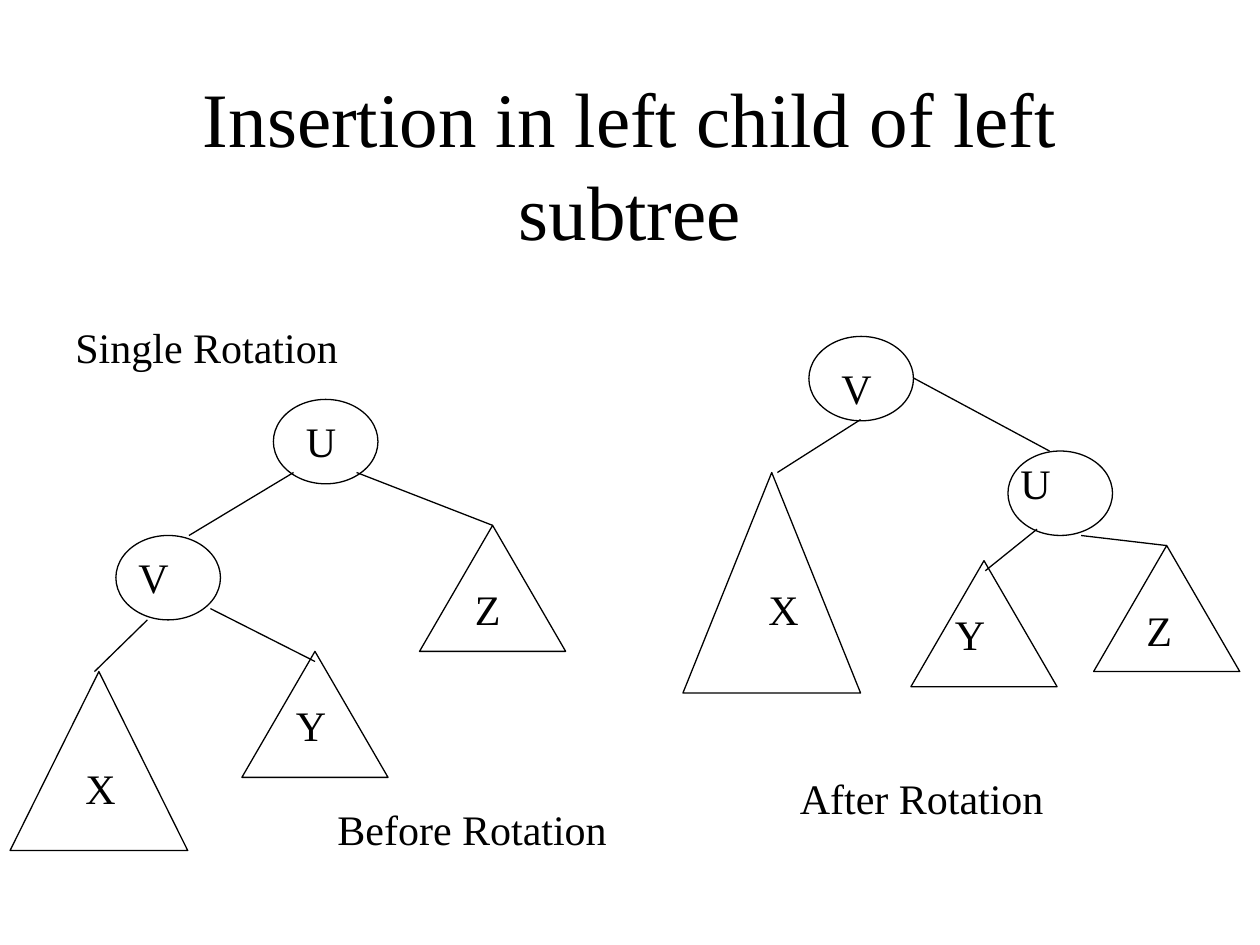
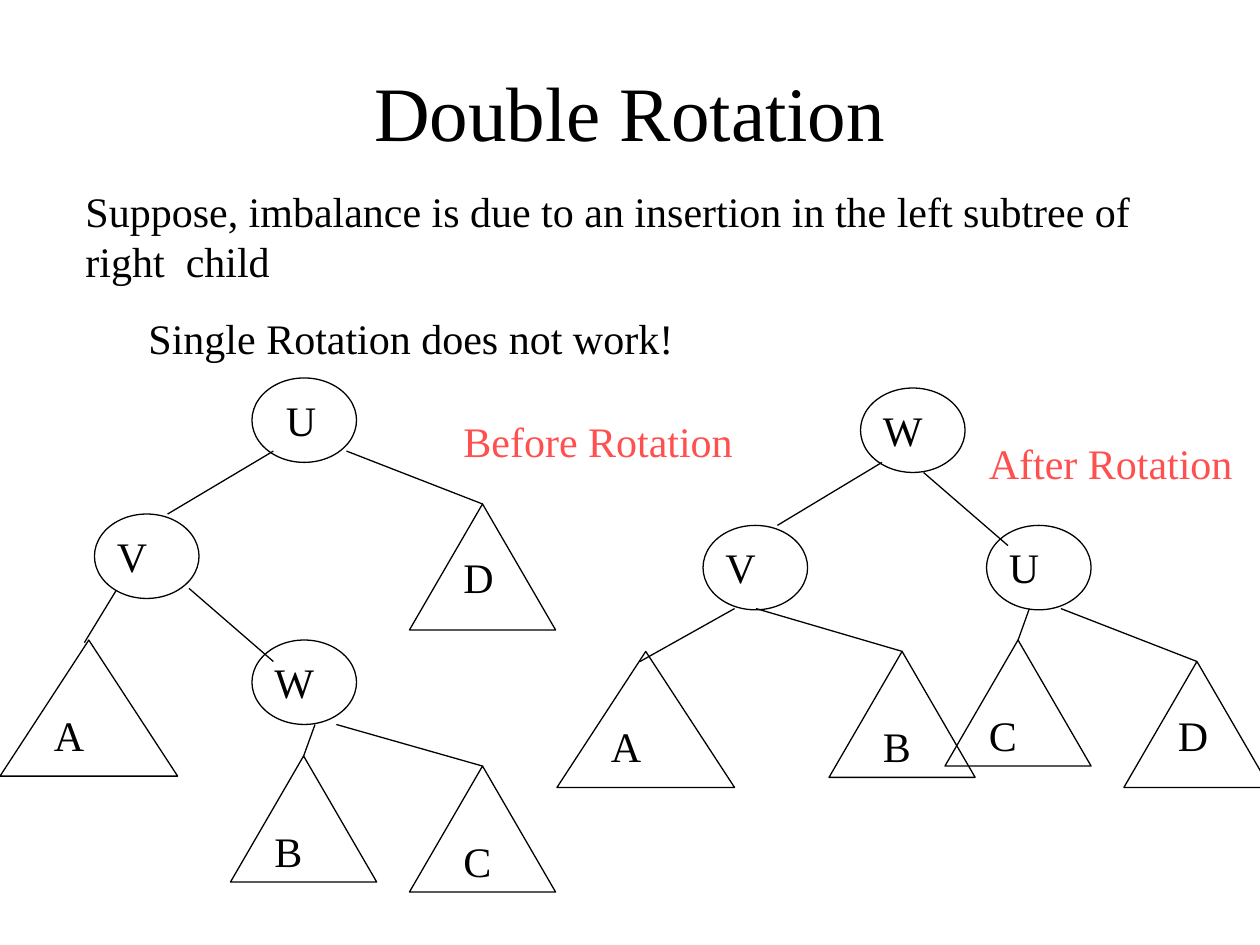
from lxml.etree import SubElement
from pptx import Presentation
from pptx.dml.color import RGBColor
from pptx.enum.shapes import MSO_CONNECTOR, MSO_SHAPE
from pptx.enum.text import MSO_ANCHOR, PP_ALIGN
from pptx.oxml.ns import qn
from pptx.util import Inches, Pt

FONT = "Times New Roman"
BLACK = "000000"
RED = "FF5050"
WHITE = "FFFFFF"
LINE_WIDTH = 0.75
BODY_SIZE = 24
TITLE_SIZE = 44
NODE_SIZE = (0.83, 0.67)
SUBTREE_SIZE = (1.16, 1)
LABEL_SIZE = (0.6, 0.5)
CAPTION_SIZE = (2.5, 0.5)


def color(hex_code):
    return RGBColor.from_string(hex_code)


def add_slide(presentation):
    slide = presentation.slides.add_slide(presentation.slide_layouts[6])
    slide.background.fill.solid()
    slide.background.fill.fore_color.rgb = color(WHITE)
    return slide


def add_run(paragraph, text, size, hex_code):
    run = paragraph.add_run()
    run.text = text
    run.font.name = FONT
    run.font.size = Pt(size)
    run.font.color.rgb = color(hex_code)


def add_text_frame(slide, left, top, width, height):
    box = slide.shapes.add_textbox(Inches(left), Inches(top), Inches(width), Inches(height))
    box.text_frame.word_wrap = True
    return box.text_frame


def add_title(slide, text, top):
    frame = add_text_frame(slide, 0.75, top, 8.5, 1.25)
    frame.vertical_anchor = MSO_ANCHOR.MIDDLE
    frame.paragraphs[0].alignment = PP_ALIGN.CENTER
    add_run(frame.paragraphs[0], text, TITLE_SIZE, BLACK)


def add_body(slide, lines, position, size, hex_code=BLACK):
    """Write one paragraph per line, each a level deeper than the one before."""
    frame = add_text_frame(slide, *position, *size)
    for level, line in enumerate(lines):
        paragraph = frame.add_paragraph() if level else frame.paragraphs[0]
        paragraph.level = level
        paragraph.space_before = Pt(15)
        add_run(paragraph, line, BODY_SIZE, hex_code)


def add_outline(slide, preset, left, top, size):
    shape = slide.shapes.add_shape(
        preset, Inches(left), Inches(top), *map(Inches, size))
    shape.shadow.inherit = False
    shape.fill.background()
    shape.line.color.rgb = color(BLACK)
    shape.line.width = Pt(LINE_WIDTH)
    return shape


def add_edge(slide, start, end):
    connector = slide.shapes.add_connector(
        MSO_CONNECTOR.STRAIGHT, *map(Inches, start + end))
    connector.line.color.rgb = color(BLACK)
    connector.line.width = Pt(LINE_WIDTH)
    SubElement(connector._element.spPr, qn("a:effectLst"))
    return connector


def add_node(slide, letter, left, top, label_offset=(0.08, 0.08), edge=None):
    """Draw a lettered tree node and, if given, the edge from its parent."""
    add_outline(slide, MSO_SHAPE.OVAL, left, top, NODE_SIZE)
    label_position = (left + label_offset[0], top + label_offset[1])
    add_body(slide, [letter], label_position, LABEL_SIZE)
    if edge:
        add_edge(slide, *edge)


def add_subtree(slide, letter, left, top, label_offset, edge_start,
                edge_end=None, size=SUBTREE_SIZE):
    """Draw a lettered triangle; its edge joins the apex unless edge_end is given."""
    triangle = add_outline(slide, MSO_SHAPE.ISOSCELES_TRIANGLE, left, top, size)
    label_position = (left + label_offset[0], top + label_offset[1])
    add_body(slide, [letter], label_position, LABEL_SIZE)
    apex = (left + size[0] / 2, top)
    connector = add_edge(slide, edge_start, edge_end or apex)
    if edge_end is None:
        connector.end_connect(triangle, 0)


def build_single_rotation(presentation):
    slide = add_slide(presentation)
    add_title(slide, "Insertion in left child of left subtree", 0.67)
    add_body(slide, ["Single Rotation"], (0.5, 2.5), (7.75, 0.5))

    add_node(slide, "U", 2.17, 3.17, (0.16, 0.08))
    add_node(slide, "V", 0.92, 4.25, edge=((2.33, 3.75), (1.5, 4.25)))
    add_subtree(slide, "X", 0.08, 5.33, (0.5, 0.67), (1.17, 4.92), (0.75, 5.33),
                size=(1.41, 1.42))
    add_subtree(slide, "Y", 1.92, 5.17, (0.33, 0.33), (1.67, 4.83), (2.5, 5.25))
    add_subtree(slide, "Z", 3.33, 4.17, (0.34, 0.41), (2.83, 3.75))
    add_body(slide, ["Before Rotation"], (2.58, 6.33), CAPTION_SIZE)

    add_node(slide, "V", 6.42, 2.67, (0.16, 0.16))
    add_node(slide, "U", 8, 3.58, (0, 0), edge=((7.25, 3), (8.33, 3.58)))
    add_subtree(slide, "X", 5.42, 3.75, (0.58, 0.83), (6.83, 3.33), (6.17, 3.75),
                size=(1.41, 1.75))
    add_subtree(slide, "Y", 7.23, 4.45, (0.25, 0.33), (8.23, 4.2), (7.82, 4.53))
    add_subtree(slide, "Z", 8.68, 4.33, (0.32, 0.42), (8.58, 4.25))
    add_body(slide, ["After Rotation"], (6.25, 6.08), CAPTION_SIZE)


def build_double_rotation(presentation):
    slide = add_slide(presentation)
    add_title(slide, "Double Rotation", 0.25)
    add_body(slide, [
        "Suppose, imbalance is due to an insertion in the left subtree of right  child",
        "Single Rotation does not work!",
    ], (0.58, 1.42), (8.58, 1.51))
    wide, low, high = (1.41, 1.08), (0.33, 0.5), (0.33, 0.33)

    add_node(slide, "U", 2, 3, (0.17, 0.08))
    add_node(slide, "V", 0.75, 4.08, edge=((2.17, 3.58), (1.33, 4.08)))
    add_node(slide, "W", 2, 5.08, edge=((1.5, 4.67), (2.17, 5.25)))
    add_subtree(slide, "A", 0, 5.08, low, (0.92, 4.69), (0.67, 5.1), size=wide)
    add_subtree(slide, "B", 1.83, 6, (0.25, 0.5), (2.5, 5.75))
    add_subtree(slide, "C", 3.25, 6.08, low, (2.67, 5.75))
    add_subtree(slide, "D", 3.25, 4, high, (2.75, 3.58))
    add_body(slide, ["Before Rotation"], (3.58, 3.25), CAPTION_SIZE, RED)

    add_node(slide, "W", 6.83, 3.08)
    add_node(slide, "V", 5.58, 4.17, edge=((7, 3.67), (6.17, 4.17)))
    add_node(slide, "U", 7.83, 4.17, edge=((7.33, 3.75), (8, 4.33)))
    add_subtree(slide, "A", 4.42, 5.17, low, (5.83, 4.83), (5.08, 5.25), size=wide)
    add_subtree(slide, "B", 6.58, 5.17, low, (6, 4.83))
    add_subtree(slide, "C", 7.5, 5.08, (0.25, 0.5), (8.17, 4.83))
    add_subtree(slide, "D", 8.92, 5.25, high, (8.42, 4.83))
    add_body(slide, ["After Rotation"], (7.75, 3.42), CAPTION_SIZE, RED)


def main():
    presentation = Presentation()
    presentation.slide_width = Inches(10)
    presentation.slide_height = Inches(7.5)
    build_single_rotation(presentation)
    build_double_rotation(presentation)
    presentation.save("out.pptx")


if __name__ == "__main__":
    main()
